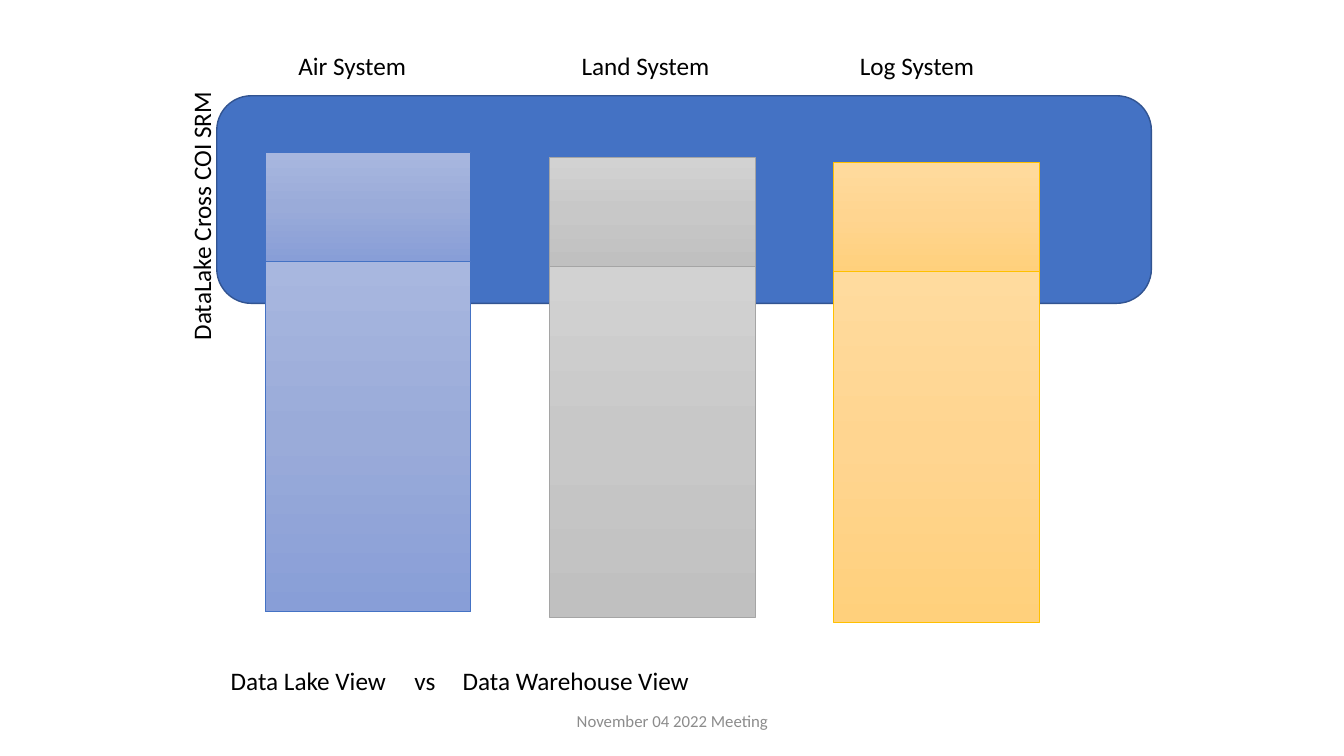
from copy import deepcopy
from pptx import Presentation
from pptx import util as u
from pptx.dml.color import RGBColor
from pptx.enum import shapes, text
from pptx.oxml import parse_xml
from pptx.oxml.ns import nsdecls, qn

SYSTEMS = [
    ("Air System", 2.86, 1.28, "4472C4", ("A8B7DF", "9AABD9", "889ED7")),
    ("Land System", 5.67, 1.48, "A5A5A5", ("D2D2D2", "C8C8C8", "C0C0C0")),
    ("Log System", 8.43, 1.35, "FFC000", ("FFDB9E", "FFD590", "FFD07C")),
]


def paint(color, code):
    color.rgb = RGBColor.from_string(code)


def place(box):
    return [u.Inches(n) for n in box]


def block(slide, kind, box, edge, width):
    shape = slide.shapes.add_shape(kind, *place(box))
    shape.shadow.inherit = False
    paint(shape.line.color, edge)
    shape.line.width = u.Pt(width)
    return shape


def shade(shape, codes):
    shape.fill.gradient()
    shape.fill.gradient_angle = 270
    stops = shape._element.spPr.find(qn("a:gradFill")).find(qn("a:gsLst"))
    middle = deepcopy(stops[0])
    middle.set("pos", "50000")
    stops.insert(1, middle)
    for stop, code in zip(shape.fill.gradient_stops, codes):
        paint(stop.color, code)


def label(slide, box, words, size=18, code="000000", wrap=False, tabs=()):
    shape = slide.shapes.add_textbox(*place(box))
    frame = shape.text_frame
    frame.word_wrap = wrap
    para = frame.paragraphs[0]
    if tabs:
        marks = "".join(f'<a:tab pos="{u.Inches(t)}" algn="l"/>' for t in tabs)
        para._p.get_or_add_pPr().append(
            parse_xml(f'<a:tabLst {nsdecls("a")}>{marks}</a:tabLst>'))
    run = para.add_run()
    run.text = words
    run.font.name = "Calibri"
    run.font.size = u.Pt(size)
    paint(run.font.color, code)
    return shape


def lake(slide, box):
    left, top, width, height = box
    band = block(slide, shapes.MSO_SHAPE.ROUNDED_RECTANGLE, box, "325491", 1)
    band.fill.solid()
    paint(band.fill.fore_color, "4472C4")
    long, tall = 2.69, 0.4
    side = label(slide, (left - 0.155 - long / 2, top + 1.18 - tall / 2, long, tall),
                 "DataLake Cross COI SRM")
    side.rotation = 270


def tower(slide, box, edge, codes):
    left, top, width, height = box
    cap = 1.08
    for y, h in ((top, cap), (top + cap, height - cap)):
        part = block(slide, shapes.MSO_SHAPE.RECTANGLE, (left, y, width, h), edge, 0.5)
        shade(part, codes)


def footer(slide, box):
    left, top, width, height = box
    label(slide, (left, top, 4.82, 0.4),
          "Data Lake View\tvs\tData Warehouse View", wrap=True, tabs=(1.82, 2.3))
    date = label(slide, (left + 2.23, top + 0.4, 4.5, 0.4),
                 "November 04 2022 Meeting", 12, "8C8C8C", True)
    date.text_frame.vertical_anchor = text.MSO_ANCHOR.MIDDLE
    date.text_frame.paragraphs[0].alignment = text.PP_ALIGN.CENTER


def main():
    deck = Presentation()
    deck.slide_width = u.Inches(13.33)
    deck.slide_height = u.Inches(7.5)
    slide = deck.slides.add_slide(deck.slide_layouts[6])
    lake(slide, (2.15, 0.95, 9.27, 2.06))
    for i, (name, left, width, edge, codes) in enumerate(SYSTEMS):
        tower(slide, (2.63 + 2.82 * i, 1.51 + 0.05 * i, 2.04, 4.56), edge, codes)
        label(slide, (left, 0.45, width, 0.4), name)
    footer(slide, (2.19, 6.55, 6.73, 0.8))
    deck.save("out.pptx")


if __name__ == "__main__":
    main()
